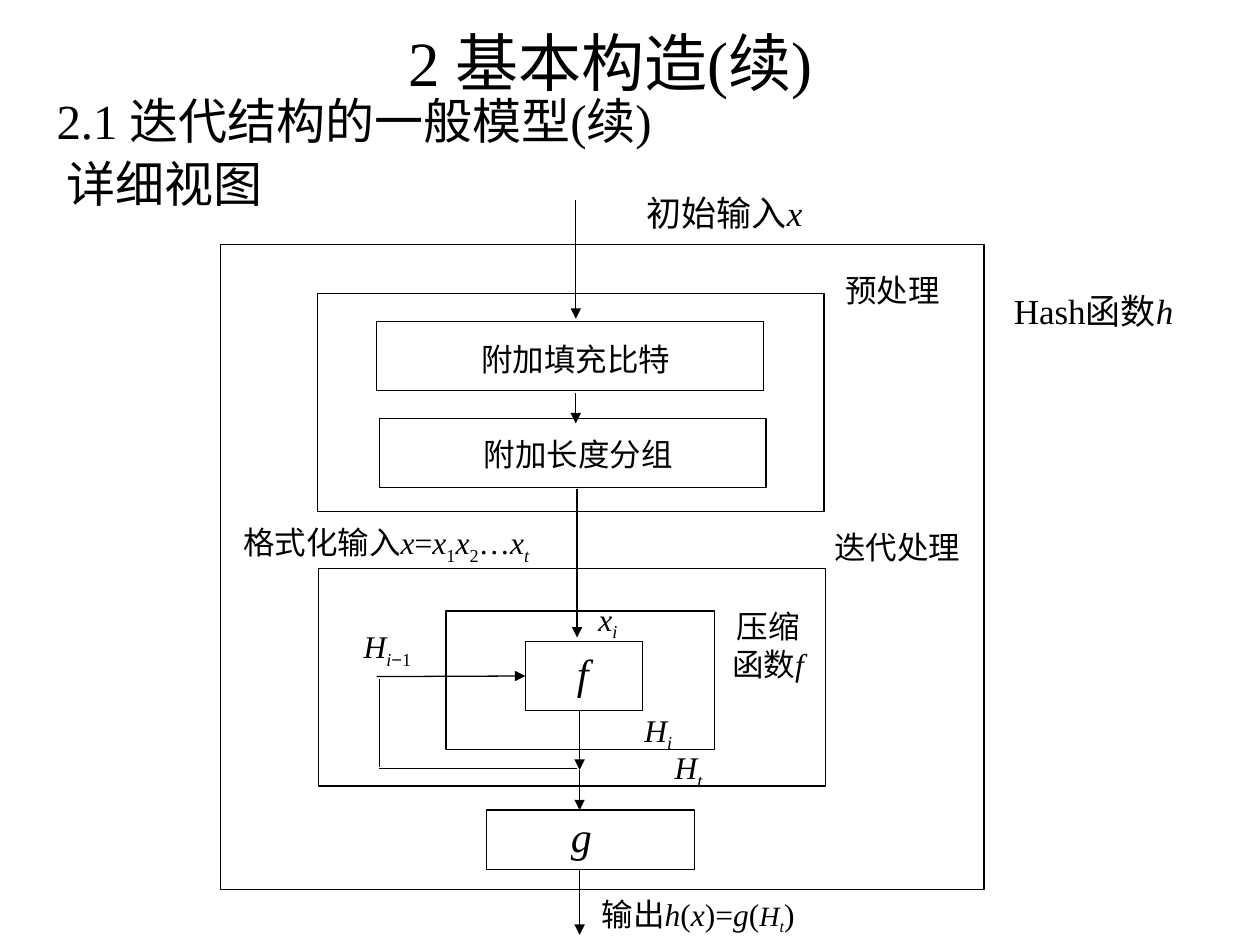
import pptx
import pptx.dml.color
import pptx.enum.shapes
import pptx.enum.text
import pptx.util
from lxml import etree
from pptx.oxml.ns import qn

Inches = pptx.util.Inches
Pt = pptx.util.Pt
PP_ALIGN = pptx.enum.text.PP_ALIGN
ANCHOR = pptx.enum.text.MSO_ANCHOR

COLORS = {"ink": "000000"}
FONT = "Times New Roman"
SYMBOL_FONT = "Arial"
LINE_WIDTH = 0.75


def ink():
    return pptx.dml.color.RGBColor.from_string(COLORS["ink"])


def add_label(slide, origin, at, pieces, size=18, align=PP_ALIGN.CENTER, anchor=ANCHOR.TOP):
    """Place text at an offset from origin; a piece is (text, marks): i italic, s subscript,
    m symbol font, - smaller."""
    left, top, width, height = at
    shape = slide.shapes.add_textbox(Inches(origin[0] + left), Inches(origin[1] + top),
                                     Inches(width), Inches(height))
    frame = shape.text_frame
    frame.word_wrap = True
    frame.vertical_anchor = anchor
    paragraph = frame.paragraphs[0]
    paragraph.alignment = align
    paragraph.font.name = FONT
    paragraph.font.size = Pt(size)
    paragraph.font.color.rgb = ink()
    for text, marks in pieces:
        run = paragraph.add_run()
        run.text = text
        if "i" in marks:
            run.font.italic = True
        if "s" in marks:
            run.font._element.set("baseline", "-25000")
        if "m" in marks:
            run.font.name = SYMBOL_FONT
        if "-" in marks:
            run.font.size = Pt(size - 2)
    return paragraph


def add_frame(slide, box):
    shape = slide.shapes.add_shape(pptx.enum.shapes.MSO_SHAPE.RECTANGLE, *map(Inches, box))
    shape.shadow.inherit = False
    shape.fill.background()
    shape.line.color.rgb = ink()
    shape.line.width = Pt(LINE_WIDTH)
    return shape


def add_line(slide, origin, start, end, arrow=True):
    points = [Inches(base + offset) for point in (start, end)
              for base, offset in zip(origin, point)]
    connector = slide.shapes.add_connector(pptx.enum.shapes.MSO_CONNECTOR.STRAIGHT, *points)
    connector.line.color.rgb = ink()
    connector.line.width = Pt(LINE_WIDTH)
    if arrow:
        etree.SubElement(connector.line._get_or_add_ln(), qn("a:tailEnd"), type="triangle")
    etree.SubElement(connector._element.spPr, qn("a:effectLst"))
    return connector


def add_headings(slide, box):
    origin = box[:2]
    add_label(slide, origin, (2.21, 0, 4.57, 0.7), [("2 基本构造(续)", "")], 36)
    add_label(slide, origin, (0, 0.46, 5.51, 0.71), [("2.1 迭代结构的一般模型(续)", "")], 28,
              PP_ALIGN.LEFT, ANCHOR.MIDDLE)
    view = add_label(slide, origin, (0.08, 1.08, 2.28, 0.56), [("详细视图", "")], 28,
                     PP_ALIGN.LEFT)
    view.line_spacing = 0.9
    view.space_before = Pt(7)
    properties = view._p.get_or_add_pPr()
    properties.set("marL", str(Inches(0.38)))
    properties.set("indent", str(-Inches(0.38)))


def add_hash_function(slide, box):
    """Outer frame with its input, output and final transformation g."""
    origin = left, top = box[:2]
    add_frame(slide, box)
    add_label(slide, origin, (5.81, 0.31, 2.24, 0.44), [("Hash函数", ""), ("h", "i")], 20)
    add_label(slide, origin, (2.74, -0.47, 2.52, 0.44), [("初始输入", ""), ("x", "i")], 20)
    add_line(slide, origin, (2.82, -0.35), (2.82, 0.59))

    # Final transformation and output
    add_frame(slide, (left + 2.11, top + 4.49, 1.65, 0.47))
    add_label(slide, origin, (2.63, 4.44, 0.47, 0.5), [("g", "i")], 24)
    add_line(slide, origin, (2.85, 4.96), (2.85, 5.48))
    add_label(slide, origin, (2.8, 5.11, 1.98, 0.43),
              [("输出", ""), ("h", "i"), ("(", ""), ("x", "i"), (")=", ""), ("g", "i"),
               ("(", ""), ("H", "i-"), ("t", "is-"), (")", "")])


def add_preprocessing(slide, box):
    origin = left, top = box[:2]
    add_frame(slide, box)
    add_label(slide, origin, (4.05, -0.23, 1.03, 0.4), [("预处理", "")])
    steps = [("附加填充比特", 0.47, 0.22, 0.32), ("附加长度分组", 0.49, 0.99, 1.07)]
    for name, step_left, step_top, text_top in steps:
        add_frame(slide, (left + step_left, top + step_top, 3.07, 0.55))
        add_label(slide, origin, (step_left + 0.3, text_top, 2.56, 0.4), [(name, "")])
    add_line(slide, origin, (2.05, 0.79), (2.05, 1.03))


def add_iteration(slide, box):
    """Compression function f with its feedback loop."""
    origin = left, top = box[:2]
    add_frame(slide, box)
    add_frame(slide, (left + 1.01, top + 0.34, 2.13, 1.1))
    compression = add_frame(slide, (left + 1.64, top + 0.58, 0.93, 0.55))

    # Input, output and feedback
    add_line(slide, origin, (2.05, -0.63), (2.05, 0.55))
    add_line(slide, origin, (2.07, 1.13), (2.07, 1.6))
    add_line(slide, origin, (2.07, 1.6), (2.07, 1.92))
    add_line(slide, origin, (2.05, 1.59), (0.48, 1.59), arrow=False)
    add_line(slide, origin, (0.48, 1.58), (0.48, 0.88), arrow=False)
    feedback = add_line(slide, origin, (0.46, 0.86), (1.64, 0.86))
    feedback.end_connect(compression, 1)

    # Labels
    labels = [
        ((3.92, -0.37, 1.34, 0.4), [("迭代处理", "")]),
        ((-0.96, -0.41, 2.99, 0.44),
         [("格式化输入", ""), ("x", "i"), ("=", ""), ("x", "i"), ("1", "s"), ("x", "i"),
          ("2", "s"), ("…", ""), ("x", "i"), ("t", "is")]),
        ((3.17, 0.26, 0.79, 1), [("压缩函数", ""), ("f", "i")]),
        ((2.1, 0.2, 0.39, 0.44), [("x", "i"), ("i", "is")]),
        ((0.23, 0.42, 0.63, 0.44), [("H", "i"), ("i", "is"), ("−", "sm"), ("1", "s")]),
        ((2.46, 1.08, 0.47, 0.44), [("H", "i"), ("i", "is")]),
        ((2.7, 1.38, 0.47, 0.44), [("H", "i"), ("t", "is")]),
    ]
    for at, pieces in labels:
        add_label(slide, origin, at, pieces)
    add_label(slide, origin, (1.7, 0.58, 0.79, 0.5), [("f", "i")], 24)


def main():
    presentation = pptx.Presentation()
    presentation.slide_width = Inches(10)
    presentation.slide_height = Inches(7.5)
    slide = presentation.slides.add_slide(presentation.slide_layouts[6])
    add_headings(slide, (0.35, 0.14, 6.78, 1.64))
    add_hash_function(slide, (1.75, 1.94, 6.06, 5.12))
    add_preprocessing(slide, (2.52, 2.33, 4.02, 1.73))
    add_iteration(slide, (2.53, 4.51, 4.02, 1.73))
    presentation.save("out.pptx")


if __name__ == "__main__":
    main()
